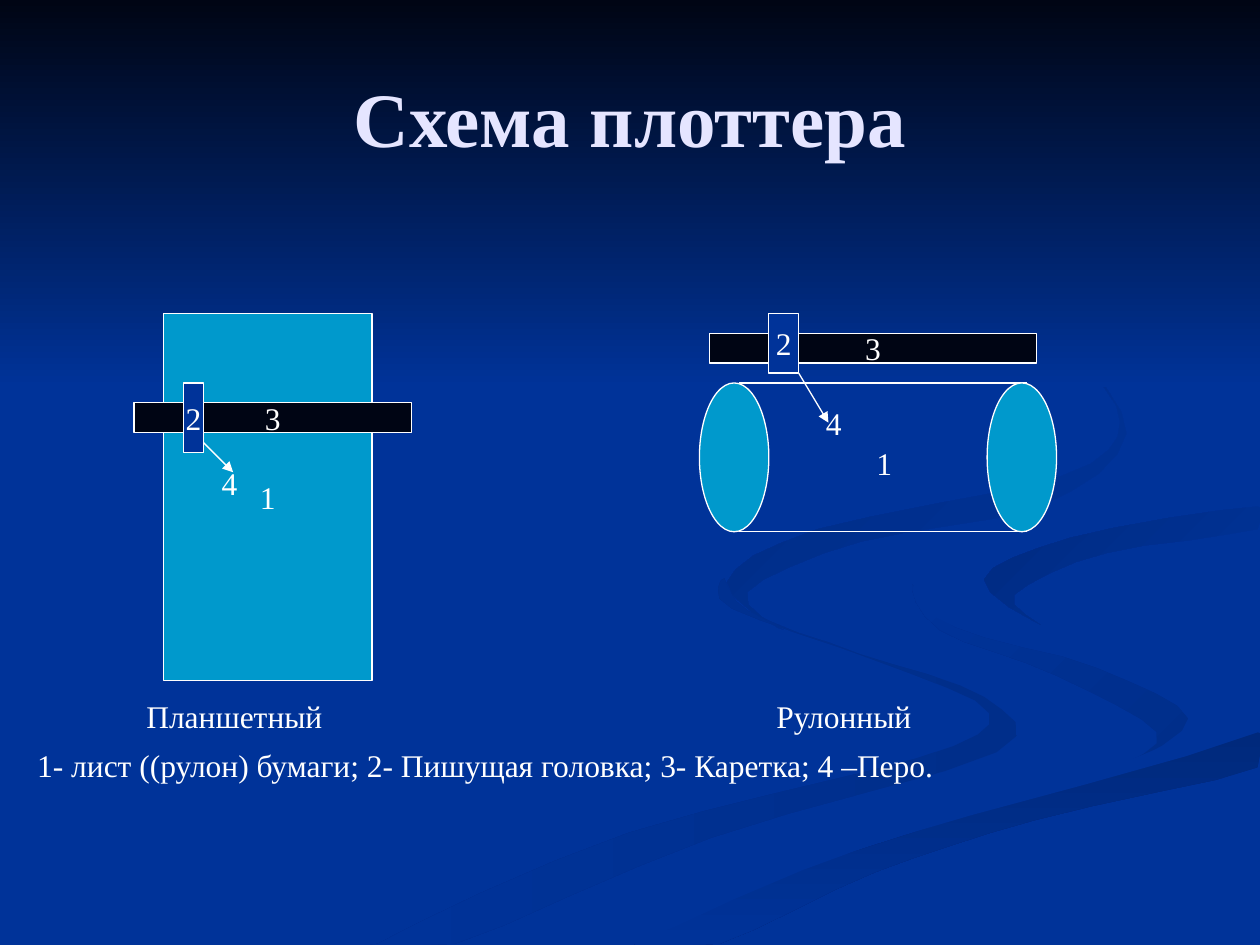
from dataclasses import dataclass
from lxml.etree import SubElement
from pptx import Presentation
from pptx.dml.color import RGBColor as RGB
from pptx.enum.shapes import MSO_CONNECTOR as Link, MSO_SHAPE as Form
from pptx.enum.text import MSO_ANCHOR as Anchor, MSO_AUTO_SIZE as AutoSize, PP_ALIGN as Align
from pptx.oxml.ns import qn
from pptx.util import Cm, Inches, Pt


@dataclass(frozen=True)
class Theme:
    ground: str = "003399"
    night: str = "000514"
    shade: str = "002E8A"
    deep_shade: str = "00297C"
    curl_shade: str = "002B81"
    paper: str = "0099CC"
    ink: str = "FFFFFF"
    heading: str = "E5E5FF"
    font: str = "Times New Roman"
    title_size: int = 44
    body_size: int = 18
    line_width: float = 0.75


THEME = Theme()
CELL = Cm(0.2)
HUNDREDTH = Inches(0.01)
STEPS = 4

RIBBONS = [
    ((THEME.shade, THEME.ground, 180), [
        (781, 553), (682, 519), (594, 485), (575, 459), (581, 483), (697, 525), (785, 566),
        (727, 602), (499, 661), (300, 749), (361, 749), (564, 665), (791, 597)]),
    ((THEME.shade, THEME.ground, 225), [
        (943, 570), (870, 530), (758, 498), (724, 464), (746, 500), (838, 536), (918, 581),
        (894, 605)]),
    ((THEME.deep_shade, THEME.ground, 90), [
        (503, 749), (571, 749), (695, 692), (821, 651), (998, 609), (998, 581), (797, 638),
        (630, 693)]),
    ((THEME.ground,), [
        (725, 464), (759, 498), (871, 530), (943, 570), (892, 605), (704, 655), (477, 749),
        (503, 749), (696, 669), (999, 581), (999, 538), (848, 503), (781, 463), (850, 427),
        (999, 402), (999, 387), (788, 422)]),
    ((THEME.ground, THEME.curl_shade, 225), [
        (781, 460), (826, 496), (805, 472), (878, 439), (998, 420), (998, 402), (849, 427)]),
    ((THEME.ground, THEME.curl_shade, 225), [
        (683, 430), (825, 402), (894, 344), (843, 275), (762, 233), (846, 279), (889, 335),
        (842, 378), (649, 420), (577, 462), (622, 500), (593, 470)]),
]


def smooth(knots, limits):
    count = len(knots)
    for index in range(count):
        near = [knots[(index + shift) % count] for shift in (-1, 0, 1, 2)]
        for step in range(STEPS):
            t = step / STEPS
            yield tuple(
                min(limit, b + t / 2 * (c - a + t * (2 * a - 5 * b + 4 * c - d
                                                     + t * (3 * b - a - 3 * c + d))))
                for a, b, c, d, limit in zip(*near, limits))


def paint(fill, start, end=None, angle=0):
    if end is None:
        fill.solid()
        fill.fore_color.rgb = RGB.from_string(start)
        return
    fill.gradient()
    fill.gradient_angle = -angle % 360
    for stop, place, color in zip(fill.gradient_stops, (0, 1), (start, end)):
        stop.position = place
        stop.color.rgb = RGB.from_string(color)


def decorate(part, colors):
    part.shadow.inherit = False
    part.line.fill.background()
    paint(part.fill, *colors)


def stroke(line):
    line.color.rgb = RGB.from_string(THEME.ink)
    line.width = Pt(THEME.line_width)


def write(paragraph, words, size=THEME.body_size, color=THEME.ink, bold=False):
    run = paragraph.add_run()
    run.text = words
    run.font.name = THEME.font
    run.font.size = Pt(size)
    run.font.bold = bold
    run.font.color.rgb = RGB.from_string(color)


@dataclass
class Region:
    shapes: object
    left: float
    top: float

    def spot(self, column, row):
        return round((self.left + column) * CELL), round((self.top + row) * CELL)

    def solid(self, form, column, row, columns, rows, color, number=None):
        part = self.shapes.add_shape(form, *self.spot(column, row), columns * CELL, rows * CELL)
        part.shadow.inherit = False
        paint(part.fill, color)
        stroke(part.line)
        if number:
            frame = part.text_frame
            frame.word_wrap = False
            frame.vertical_anchor = Anchor.MIDDLE
            frame.paragraphs[0].alignment = Align.CENTER
            write(frame.paragraphs[0], number)

    def line(self, start, end, arrow=False):
        link = self.shapes.add_connector(Link.STRAIGHT, *self.spot(*start), *self.spot(*end))
        stroke(link.line)
        if arrow:
            SubElement(link._element.spPr.find(qn("a:ln")), qn("a:tailEnd"), type="triangle")
        SubElement(link._element.spPr, qn("a:effectLst"))

    def label(self, column, row, words, columns=4.3, wrap=False, tab=None):
        box = self.shapes.add_textbox(*self.spot(column, row), round(columns * CELL), 5 * CELL)
        frame = box.text_frame
        frame.word_wrap = wrap
        frame.auto_size = AutoSize.SHAPE_TO_FIT_TEXT
        paragraph = frame.paragraphs[0]
        if tab:
            stops = SubElement(paragraph._p.get_or_add_pPr(), qn("a:tabLst"))
            SubElement(stops, qn("a:tab"), pos=str(tab), algn="l")
        write(paragraph, words)


def backdrop(slide, width, height):
    paint(slide.background.fill, THEME.ground)
    limits = width // HUNDREDTH, height // HUNDREDTH
    for colors, knots in RIBBONS:
        outline = list(smooth(knots, limits))
        builder = slide.shapes.build_freeform(*outline[0], scale=HUNDREDTH)
        builder.add_line_segments(outline[1:], close=True)
        decorate(builder.convert_to_shape(), colors)
    sky = slide.shapes.add_shape(Form.RECTANGLE, 0, 0, width, round(height * 0.41))
    decorate(sky, (THEME.night, THEME.ground, 90))


def heading(slide, width, height):
    title = slide.shapes.title
    slide.shapes._spTree.append(title._element)
    title.left, title.top = round(width * 0.05), round(height * 0.04)
    title.width, title.height = round(width * 0.9), round(height / 6)
    title.text_frame.vertical_anchor = Anchor.MIDDLE
    paragraph = title.text_frame.paragraphs[0]
    paragraph.alignment = Align.CENTER
    write(paragraph, "Схема плоттера", THEME.title_size, THEME.heading, True)


def flatbed(region):
    region.solid(Form.RECTANGLE, 3, 0, 21, 37, THEME.paper, "1")
    region.solid(Form.RECTANGLE, 0, 9, 28, 3, THEME.night, "3")
    region.solid(Form.RECTANGLE, 5, 7, 2, 7, THEME.ground, "2")
    region.line((7, 13), (10, 16), arrow=True)
    region.label(7.6, 14.5, "4")


def drum(region):
    region.solid(Form.OVAL, 0, 7, 7, 15, THEME.paper)
    for row in (7, 22):
        region.line((4, row), (33, row))
    region.solid(Form.OVAL, 29, 7, 7, 15, THEME.paper)
    region.solid(Form.RECTANGLE, 1, 2, 33, 3, THEME.night, "3")
    region.solid(Form.RECTANGLE, 7, 0, 3, 6, THEME.ground, "2")
    region.line((10, 6), (13, 11), arrow=True)
    region.label(16.6, 12.5, "1")
    region.label(11.5, 8.5, "4")


def legend(region):
    region.label(11, 0, "Планшетный\tРулонный", 96.3, wrap=True, tab=Inches(5))
    region.label(0, 5, "1- лист ((рулон) бумаги; 2- Пишущая головка; 3- Каретка; 4 –Перо.", 108.6)


def main():
    deck = Presentation()
    deck.slide_width, deck.slide_height = Inches(10), Inches(7.5)
    slide = deck.slides.add_slide(deck.slide_layouts[5])
    backdrop(slide, deck.slide_width, deck.slide_height)
    heading(slide, deck.slide_width, deck.slide_height)
    flatbed(Region(slide.shapes, 13.5, 31.6))
    drum(Region(slide.shapes, 70.5, 31.6))
    legend(Region(slide.shapes, 2.5, 69.6))
    deck.save("out.pptx")


if __name__ == "__main__":
    main()
